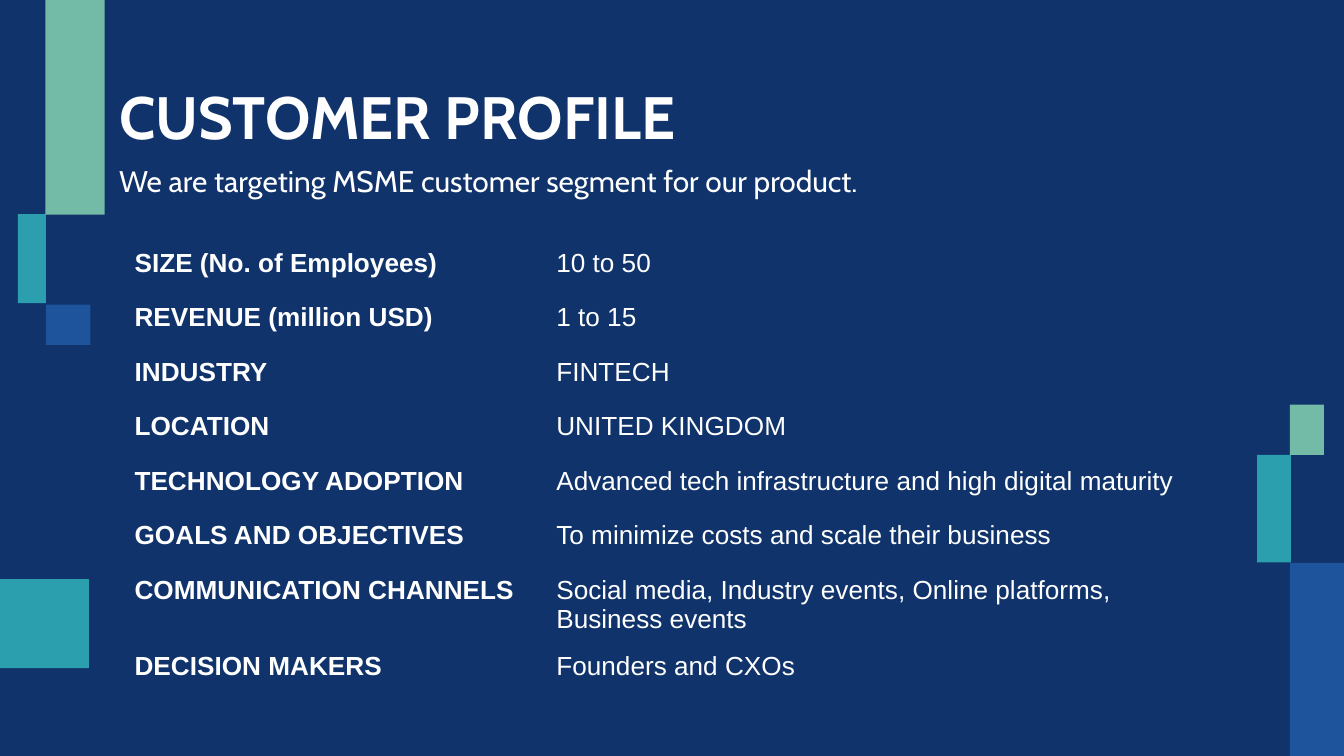
from lxml import etree
from pptx import Presentation
from pptx import util as u
from pptx.dml.color import RGBColor
from pptx.enum import shapes, text
from pptx.oxml.ns import qn

COLORS = {"navy": "10336B", "teal": "35C4C4", "mint": "A4FCC4", "blue": "2361AE", "white": "FFFFFF"}
OPACITY = {"teal": 75, "mint": 68, "blue": 72}

BLOCKS = [
    ("teal", 0, 10.95, 1.68, 1.68),
    ("teal", 0.34, 4.05, 0.53, 1.68),
    ("mint", 0.86, 0, 1.12, 4.06),
    ("teal", 23.76, 8.6, 0.64, 2.03),
    ("blue", 24.38, 10.64, 1.02, 3.65),
    ("mint", 24.38, 7.65, 0.64, 0.95),
    ("blue", 0.87, 5.76, 0.84, 0.76),
]

PROFILE = [
    ("SIZE (No. of Employees)", "10 to 50"),
    ("REVENUE (million USD)", "1 to 15"),
    ("INDUSTRY", "FINTECH"),
    ("LOCATION", "UNITED KINGDOM"),
    ("TECHNOLOGY ADOPTION", "Advanced tech infrastructure and high digital maturity"),
    ("GOALS AND OBJECTIVES", "To minimize costs and scale their business"),
    ("COMMUNICATION CHANNELS", "Social media, Industry events, Online platforms, Business events"),
    ("DECISION MAKERS", "Founders and CXOs"),
]


class SlideBuilder:
    def __init__(self, slide):
        self.slide = slide
        background = slide.background.fill
        background.solid()
        background.fore_color.rgb = self.color("navy")

    def color(self, name):
        return RGBColor.from_string(COLORS[name])

    def style(self, paragraph, font_name, size, bold):
        font = paragraph.font
        font.name = font_name
        font.size = u.Pt(size)
        font.bold = bold
        font.color.rgb = self.color("white")

    def block(self, color, *box):
        shape = self.slide.shapes.add_shape(shapes.MSO_SHAPE.RECTANGLE, *map(u.Cm, box))
        shape.shadow.inherit = False
        shape.line.fill.background()
        shape.fill.solid()
        shape.fill.fore_color.rgb = self.color(color)
        fill_color = shape._element.spPr.find(qn("a:solidFill"))[0]
        etree.SubElement(fill_color, qn("a:alpha"), val=str(OPACITY[color] * 1000))

    def text(self, content, box, size, bold=False):
        frame = self.slide.shapes.add_textbox(*map(u.Cm, box)).text_frame
        frame.word_wrap = True
        frame.vertical_anchor = text.MSO_ANCHOR.TOP
        frame.margin_left = frame.margin_right = u.Cm(0.25)
        frame.margin_top = frame.margin_bottom = u.Cm(0.25)
        paragraph = frame.paragraphs[0]
        paragraph.text = content
        self.style(paragraph, "Cabin", size, bold)

    def table(self, rows, left, top, widths, row_height):
        frame = self.slide.shapes.add_table(
            len(rows), len(widths), u.Cm(left), u.Cm(top),
            u.Cm(sum(widths)), u.Cm(row_height * len(rows)))
        table = frame.table
        table.first_row = table.horz_banding = False
        for column, width in zip(table.columns, widths):
            column.width = u.Cm(width)
        for row, values in zip(table.rows, rows):
            row.height = u.Cm(row_height)
            for index, (cell, value) in enumerate(zip(row.cells, values)):
                self.cell(cell, value, bold=index == 0)

    def cell(self, cell, value, bold):
        cell.fill.background()
        properties = cell._tc.get_or_add_tcPr()
        for position, side in enumerate(("lnL", "lnR", "lnT", "lnB")):
            border = etree.Element(qn(f"a:{side}"))
            etree.SubElement(border, qn("a:noFill"))
            properties.insert(position, border)
        paragraph = cell.text_frame.paragraphs[0]
        paragraph.text = value
        self.style(paragraph, "Arial", 14, bold)


def main():
    presentation = Presentation()
    presentation.slide_width = u.Cm(25.4)
    presentation.slide_height = u.Cm(14.29)
    builder = SlideBuilder(presentation.slides.add_slide(presentation.slide_layouts[6]))
    for block in BLOCKS:
        builder.block(*block)
    builder.text("CUSTOMER PROFILE", (2, 1.25, 21.41, 1.6), 32, bold=True)
    builder.table(PROFILE, 2.29, 4.57, (7.97, 12.32), 1.03)
    builder.text("We are targeting MSME customer segment for our product.", (2, 2.82, 21.41, 1.22), 16)
    presentation.save("out.pptx")


if __name__ == "__main__":
    main()
